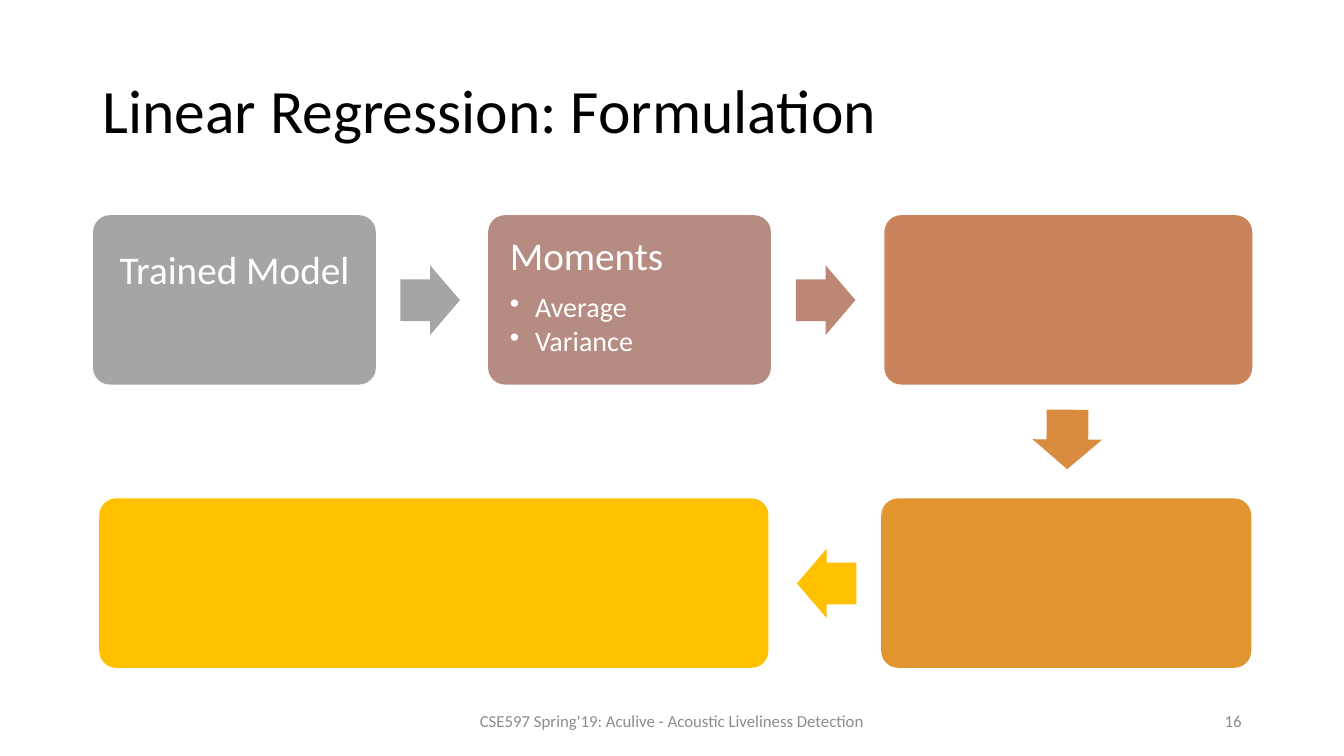
from dataclasses import dataclass

from lxml import etree
from pptx import Presentation
from pptx.dml.color import RGBColor
from pptx.enum import shapes, text
from pptx.oxml.ns import qn
from pptx.util import Pt


@dataclass(frozen=True)
class Theme:
    font: str = "Calibri"
    ink: str = "000000"
    paper: str = "FFFFFF"
    muted: str = "8C8C8C"
    title: int = 44
    heading: int = 28
    bullet: int = 20
    footer: int = 12


THEME = Theme()
STEP_HEIGHT = 121
ARROW_WIDTH, ARROW_HEIGHT = 42.5, 49.7

STEPS = [
    (0, 0, 202, "A5A5A5"),
    (282.2, 0, 202, "B58B82"),
    (565.2, 0, 262.8, "C9845C"),
    (563, 202.3, 264.3, "E19430"),
    (4.4, 202.3, 478, "FFC000"),
]
ARROWS = [
    (240.8, 60.7, 0, "A5A5A5"),
    (523.3, 60.7, 0, "BD8675"),
    (695.9, 160.2, 90.3, "D98C3F"),
    (524, 263, 180, "FFC000"),
]


def style(para, size, color, align=text.PP_ALIGN.LEFT, spacing=0.9):
    para.alignment = align
    para.line_spacing = spacing
    para.font.size = Pt(size)
    para.font.name = THEME.font
    para.font.color.rgb = RGBColor.from_string(color)


def add_title(page, box):
    title = page.shapes.title
    title.left, title.top, title.width, title.height = map(Pt, box)
    frame = title.text_frame
    frame.text = "Linear Regression: Formulation"
    frame.vertical_anchor = text.MSO_ANCHOR.MIDDLE
    style(frame.paragraphs[0], THEME.title, THEME.ink)


def add_block(page, kind, box, color, adjustments):
    block = page.shapes.add_shape(kind, *map(Pt, box))
    for index, value in enumerate(adjustments):
        block.adjustments[index] = value
    block.shadow.inherit = False
    block.fill.solid()
    block.fill.fore_color.rgb = RGBColor.from_string(color)
    block.line.fill.background()
    return block


def prepare_frame(block, anchor, bottom):
    frame = block.text_frame
    frame.word_wrap = True
    frame.vertical_anchor = anchor
    frame.margin_left = frame.margin_right = frame.margin_top = Pt(12)
    frame.margin_bottom = Pt(bottom)
    return frame


def write_model(block):
    frame = prepare_frame(block, text.MSO_ANCHOR.MIDDLE, 52)
    frame.text = "Trained Model"
    style(frame.paragraphs[0], THEME.heading, THEME.paper, text.PP_ALIGN.CENTER)


def write_moments(block):
    frame = prepare_frame(block, text.MSO_ANCHOR.TOP, 12)
    frame.text = "Moments\nAverage\nVariance"
    heading, *bullets = frame.paragraphs
    style(heading, THEME.heading, THEME.paper)
    heading.space_after = Pt(9.8)
    for para in bullets:
        para.level = 1
        props = para._p.get_or_add_pPr()
        props.set("marL", str(Pt(18)))
        props.set("indent", str(Pt(-18)))
        etree.SubElement(props, qn("a:buChar")).set("char", "•")
        style(para, THEME.bullet, THEME.paper)
        para.space_after = Pt(3)


def add_flow(page, left, top):
    blocks = [
        add_block(page, shapes.MSO_SHAPE.ROUNDED_RECTANGLE,
                  (left + x, top + y, width, STEP_HEIGHT), color, [0.1])
        for x, y, width, color in STEPS
    ]
    write_model(blocks[0])
    write_moments(blocks[1])
    for x, y, angle, color in ARROWS:
        box = (left + x - ARROW_WIDTH / 2, top + y - ARROW_HEIGHT / 2,
               ARROW_WIDTH, ARROW_HEIGHT)
        arrow = add_block(page, shapes.MSO_SHAPE.RIGHT_ARROW, box, color, [0.6, 0.5])
        arrow.rotation = angle


def add_footer(page, left, top, height):
    for x, width, words, align in [
        (252, 324, "CSE597 Spring'19: Aculive - Acoustic Liveliness Detection",
         text.PP_ALIGN.CENTER),
        (612, 216, "16", text.PP_ALIGN.RIGHT),
    ]:
        box = page.shapes.add_textbox(Pt(left + x), Pt(top), Pt(width), Pt(height))
        frame = box.text_frame
        frame.word_wrap = True
        frame.vertical_anchor = text.MSO_ANCHOR.MIDDLE
        frame.text = words
        style(frame.paragraphs[0], THEME.footer, THEME.muted, align, 1.0)


def main():
    deck = Presentation()
    deck.slide_width, deck.slide_height = Pt(960), Pt(540)
    page = deck.slides.add_slide(deck.slide_layouts[5])
    add_title(page, (66, 28.75, 828, 104.4))
    add_flow(page, 66.5, 153.7)
    add_footer(page, 66, 500.5, 28.75)
    deck.save("out.pptx")


if __name__ == "__main__":
    main()
